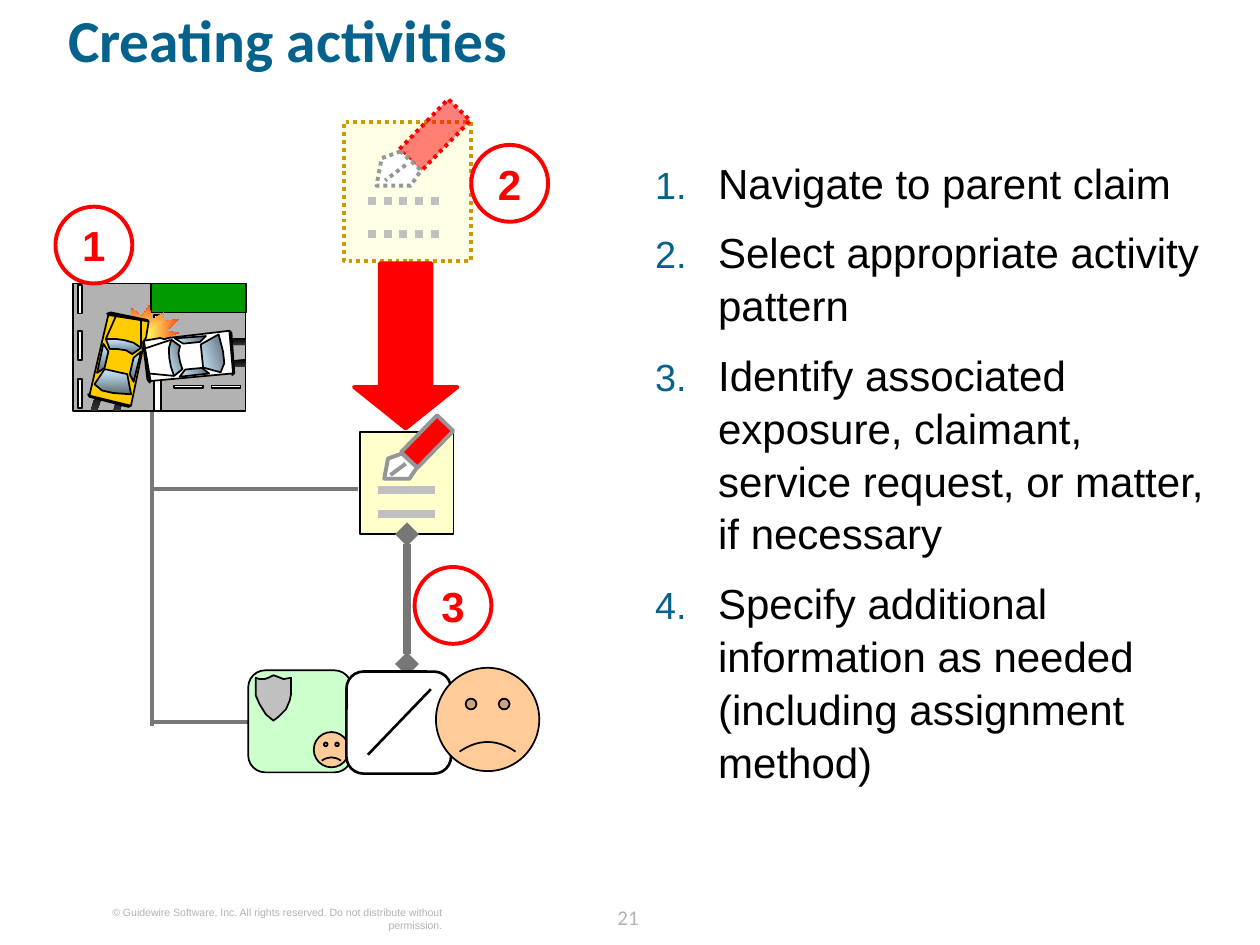
from math import cos, radians, sin

from lxml import etree
from pptx import Presentation
from pptx.dml.color import RGBColor
from pptx.enum.dml import MSO_LINE
from pptx.enum.shapes import MSO_CONNECTOR, MSO_SHAPE
from pptx.enum.text import MSO_ANCHOR, PP_ALIGN
from pptx.oxml.ns import qn
from pptx.util import Cm, Pt

RECTANGLE, ROUNDED = MSO_SHAPE.RECTANGLE, MSO_SHAPE.ROUNDED_RECTANGLE
OVAL, SMILEY = MSO_SHAPE.OVAL, MSO_SHAPE.SMILEY_FACE
ARROW, BURST = MSO_SHAPE.DOWN_ARROW, MSO_SHAPE.EXPLOSION2
STRAIGHT, DOTTED = MSO_CONNECTOR.STRAIGHT, MSO_LINE.ROUND_DOT
LEFT, CENTER, RIGHT = PP_ALIGN.LEFT, PP_ALIGN.CENTER, PP_ALIGN.RIGHT
TOP, MIDDLE = MSO_ANCHOR.TOP, MSO_ANCHOR.MIDDLE

GRID = 2.54  # centimetres per grid unit; the slide is 10 by 7.5 units
BLACK, WHITE, RED = "000000", "FFFFFF", "FF0000"
BLUE, GREY, SILVER, PALE = "04628C", "777777", "C0C0C0", "B2B2B2"
STEEL, SKIN = "969696", "FFCC99"
GLASS, RUBBER = ("CCECFF", "5E6D76"), (BLACK, "333333")

STEPS = [
    "Navigate to parent claim",
    "Select appropriate activity pattern",
    "Identify associated exposure, claimant, service request, or matter, if necessary",
    "Specify additional information as needed (including assignment method)",
]

# Outlines of the upright car, and the centre it turns about
CAR_CENTRE = (0.945, 2.86)
REAR_BUMPER = [(0.7, 3.13), (1.04, 3.22), (1.02, 3.23), (0.71, 3.15)]
FRONT_BUMPER = [(0.85, 2.49), (0.88, 2.48), (1.17, 2.54), (1.18, 2.55)]
CAR_BODY = [(0.86, 2.5), (0.71, 3.14), (1.04, 3.22), (1.14, 2.74),
            (1.14, 2.71), (1.16, 2.68), (1.18, 2.55)]
CAR_WINDOWS = [
    [(0.84, 2.69), (0.87, 2.77), (0.93, 2.77), (1, 2.78), (1.05, 2.81), (1.12, 2.76),
     (1.06, 2.72), (0.99, 2.7), (0.92, 2.69), (0.87, 2.69)],
    [(0.83, 2.93), (0.75, 3.05), (0.81, 3.1), (0.9, 3.12), (1.04, 3.13), (1.01, 2.97)],
    [(1.06, 2.84), (1.12, 2.79), (1.06, 3.03), (1.03, 2.97)],
    [(0.86, 2.79), (0.83, 2.92), (0.77, 2.96), (0.82, 2.73)],
]
HOOD_LINES = [[(0.84, 2.69), (0.92, 2.51)], [(1.12, 2.75), (1.12, 2.55)]]
SKID_MARKS = [
    [(1.75, 2.74), (1.95, 2.74), (1.95, 2.68), (1.75, 2.69)],
    [(1.75, 2.91), (1.95, 2.91), (1.95, 2.85), (1.75, 2.87)],
    [(0.78, 3.07), (0.72, 3.26), (0.77, 3.26), (0.83, 3.09)],
    [(0.95, 3.11), (0.9, 3.26), (0.95, 3.26), (1, 3.11)],
]
SHIELD = [(2.17, 5.72), (2.11, 5.67), (2.06, 5.59), (2.03, 5.52), (2.03, 5.38), (2.06, 5.39),
          (2.1, 5.39), (2.13, 5.38), (2.17, 5.36), (2.2, 5.37), (2.25, 5.39), (2.31, 5.38),
          (2.31, 5.51), (2.3, 5.56), (2.27, 5.63), (2.21, 5.69)]


def color(value):
    return RGBColor.from_string(value)


def lengths(*values):
    return [Cm(value * GRID) for value in values]


def style(shape, fill, line=BLACK, width=1, dash=None, alpha=None, angle=270):
    """Fill is None, one colour, or a pair of gradient colours."""
    shape.shadow.inherit = False
    if fill is None:
        shape.fill.background()
    elif isinstance(fill, tuple):
        shape.fill.gradient()
        shape.fill.gradient_angle = angle
        for stop, value in zip(shape.fill.gradient_stops, fill):
            stop.color.rgb = color(value)
    else:
        shape.fill.solid()
        shape.fill.fore_color.rgb = color(fill)
    if alpha:
        fill_color = shape.element.spPr.find(".//" + qn("a:srgbClr"))
        etree.SubElement(fill_color, qn("a:alpha"), val=str(alpha * 1000))
    if line is None:
        shape.line.fill.background()
    else:
        style_line(shape.line, line, width, dash)
    return shape


def style_line(line, value, width, dash):
    line.color.rgb = color(value)
    line.width = Pt(width)
    if dash:
        line.dash_style = dash


def add_shape(slide, kind, box, fill, rotation=0, adjustments=(), **look):
    shape = slide.shapes.add_shape(kind, *lengths(*box))
    shape.rotation = rotation
    for index, value in enumerate(adjustments):
        shape.adjustments[index] = value
    return style(shape, fill, **look)


def add_outline(slide, points, fill, **look):
    corners = [lengths(*point) for point in points]
    builder = slide.shapes.build_freeform(*corners[0], scale=1.0)
    builder.add_line_segments(corners[1:], close=True)
    return style(builder.convert_to_shape(), fill, **look)


def add_line(slide, start, end, value, width, dash=None):
    connector = slide.shapes.add_connector(STRAIGHT, *lengths(*start, *end))
    style_line(connector.line, value, width, dash)
    etree.SubElement(connector.element.spPr, qn("a:effectLst"))
    return connector


def write(paragraph, text, size, value, font="Arial", bold=False, align=LEFT):
    paragraph.text = text
    paragraph.alignment = align
    paragraph.font.size = Pt(size)
    paragraph.font.name = font
    paragraph.font.bold = bold
    paragraph.font.color.rgb = color(value)


def prepare_frame(frame, anchor=TOP):
    frame.margin_left = frame.margin_right = frame.margin_top = frame.margin_bottom = 0
    frame.word_wrap = True
    frame.vertical_anchor = anchor
    return frame


def add_text(slide, box, text, *font, **look):
    frame = prepare_frame(slide.shapes.add_textbox(*lengths(*box)).text_frame)
    write(frame.paragraphs[0], text, *font, **look)
    return frame.paragraphs[0]


def add_steps(slide):
    frame = prepare_frame(slide.shapes.add_textbox(*lengths(5.2, 1.23, 4.44, 5.8)).text_frame)
    for index, step in enumerate(STEPS):
        paragraph = frame.add_paragraph() if index else frame.paragraphs[0]
        properties = paragraph._p.get_or_add_pPr()
        properties.set("marL", str(Cm(1.27)))
        properties.set("indent", str(-Cm(1.27)))
        bullet_color = etree.SubElement(properties, qn("a:buClr"))
        etree.SubElement(bullet_color, qn("a:srgbClr"), val=BLUE)
        etree.SubElement(properties, qn("a:buSzPct"), val="90000")
        etree.SubElement(properties, qn("a:buAutoNum"), type="arabicPeriod")
        write(paragraph, step, 24, BLACK)
        paragraph.line_spacing = 1.05
        if index:
            paragraph.space_before = Pt(9.5)


def add_number(slide, number, left, top):
    circle = add_shape(slide, OVAL, (left, top, 0.61, 0.61), None, line=RED, width=2.25)
    frame = prepare_frame(circle.text_frame, MIDDLE)
    write(frame.paragraphs[0], number, 24, RED, bold=True, align=CENTER)


def add_note(slide, left, top, scale=1.0, edge=BLACK, edge_width=1, pencil_edge=STEEL,
             dash=None, alpha=None):
    def place(x, y):
        return left + x * scale, top + y * scale

    def box(x, y, width, height):
        return *place(x, y), width * scale, height * scale

    note = add_shape(slide, RECTANGLE, box(0, 0, 0.74, 0.81), "FFFFCC", line=edge,
                     width=edge_width, dash=dash, alpha=alpha)
    for y in (0.65, 0.46):
        add_line(slide, place(0.14, y), place(0.59, y), SILVER, 4.5, dash)
    add_shape(slide, RECTANGLE, box(0.44, -0.13, 0.18, 0.41), RED, rotation=44.3,
              line=pencil_edge, width=2.25, dash=dash, alpha=alpha)
    nib = [(0.33, 0.17), (0.22, 0.21), (0.19, 0.37), (0.39, 0.37), (0.45, 0.28)]
    add_outline(slide, [place(*point) for point in nib], WHITE, line=STEEL, width=2.25, dash=dash)
    add_line(slide, place(0.36, 0.25), place(0.24, 0.34), STEEL, 2.25, dash)
    return note


def add_car(slide, fill, centre=CAR_CENTRE, turn=0):
    def place(points):
        c, s = cos(radians(turn)), sin(radians(turn))
        offsets = [(x - CAR_CENTRE[0], y - CAR_CENTRE[1]) for x, y in points]
        return [(centre[0] + x * c - y * s, centre[1] + x * s + y * c) for x, y in offsets]

    add_outline(slide, place(REAR_BUMPER), PALE)
    add_outline(slide, place(CAR_BODY), fill)
    for window in CAR_WINDOWS:
        add_outline(slide, place(window), GLASS, angle=(270 - turn) % 360)
    for hood_line in HOOD_LINES:
        add_line(slide, *place(hood_line), BLACK, 1)
    add_outline(slide, place(FRONT_BUMPER), PALE)


def add_claim(slide):
    add_shape(slide, RECTANGLE, (0.58, 2.25, 1.37, 1.01), PALE)
    for mark in SKID_MARKS:
        add_outline(slide, mark, RUBBER, line=None)
    add_shape(slide, RECTANGLE, (1.2, 2.25, 0.75, 0.23), "009900")
    add_shape(slide, RECTANGLE, (1.22, 2.5, 0.06, 0.76), WHITE)
    burst = add_shape(slide, BURST, (0.91, 2.39, 0.51, 0.53), ("FFFF66", RED), rotation=44.7,
                      line=None)
    # Let the burst's gradient spread from its centre
    gradient = burst.element.spPr.find(qn("a:gradFill"))
    gradient.remove(gradient.find(qn("a:lin")))
    spread = etree.SubElement(gradient, qn("a:path"), path="shape")
    etree.SubElement(spread, qn("a:fillToRect"), l="50000", t="50000", r="50000", b="50000")
    for top in (2.26, 2.63, 3.01):
        add_shape(slide, RECTANGLE, (0.62, top, 0.03, 0.23), WHITE)
    for left in (1.38, 1.68):
        add_shape(slide, RECTANGLE, (left, 3.06, 0.23, 0.02), WHITE)
    add_car(slide, "FFCC00")
    add_car(slide, WHITE, centre=(1.51, 2.83), turn=251.5)


def add_face(slide, left, top, size):
    add_shape(slide, SMILEY, (left, top, size, size), SKIN, adjustments=[-0.047])


def main():
    presentation = Presentation()
    presentation.slide_width, presentation.slide_height = lengths(10, 7.5)
    slide = presentation.slides.add_slide(presentation.slide_layouts[6])

    # Title, steps and footer
    title = add_text(slide, (0.54, 0.13, 9.1, 0.81), "Creating activities", 34, BLUE,
                     font="Calibri", bold=True)
    title.line_spacing = 0.8
    add_steps(slide)
    add_text(slide, (0.61, 7.19, 2.9, 0.2), "© Guidewire Software, Inc. All rights reserved. "
             "Do not distribute without permission.", 6, PALE, align=RIGHT)
    page = add_text(slide, (4.7, 7.13, 0.57, 0.25), "21", 12, PALE, font="Calibri", align=CENTER)
    page.line_spacing = Pt(18)

    # Claim with its branches to the activity and the exposure
    for y in (3.88, 5.73):
        add_line(slide, (1.21, y), (2.84, y), GREY, 2.25)
    add_line(slide, (1.21, 3.26), (1.21, 5.76), GREY, 2.25)
    add_claim(slide)

    # Activity and its link to the associated object
    activity = add_note(slide, 2.86, 3.43)
    link = add_line(slide, (3.23, 4.24), (3.23, 5.27), GREY, 4.5)
    link.begin_connect(activity, 2)
    outline = link.element.spPr.find(qn("a:ln"))
    for end in ("a:headEnd", "a:tailEnd"):
        etree.SubElement(outline, qn(end), type="diamond")

    # Exposure, matter and claimant
    add_shape(slide, ROUNDED, (1.97, 5.32, 0.82, 0.81), "CCFFCC")
    add_outline(slide, SHIELD, SILVER)
    add_face(slide, 2.49, 5.81, 0.28)
    add_shape(slide, ROUNDED, (2.75, 5.33, 0.83, 0.81), WHITE, width=1.5)
    add_line(slide, (3.42, 5.47), (2.92, 5.99), BLACK, 1.5)
    add_face(slide, 3.46, 5.3, 0.82)

    # Activity pattern that becomes the activity
    add_note(slide, 2.73, 0.97, scale=1.36, edge="CC9900", edge_width=2.25, pencil_edge=RED,
             dash=DOTTED, alpha=50)
    add_shape(slide, ARROW, (2.81, 2.09, 0.82, 1.31), RED, adjustments=[0.5, 0.4],
              line=RED, width=2.25)

    # Step numbers
    for number, left, top in (("1", 0.44, 1.64), ("2", 3.74, 1.15), ("3", 3.29, 4.5)):
        add_number(slide, number, left, top)

    presentation.save("out.pptx")


if __name__ == "__main__":
    main()
